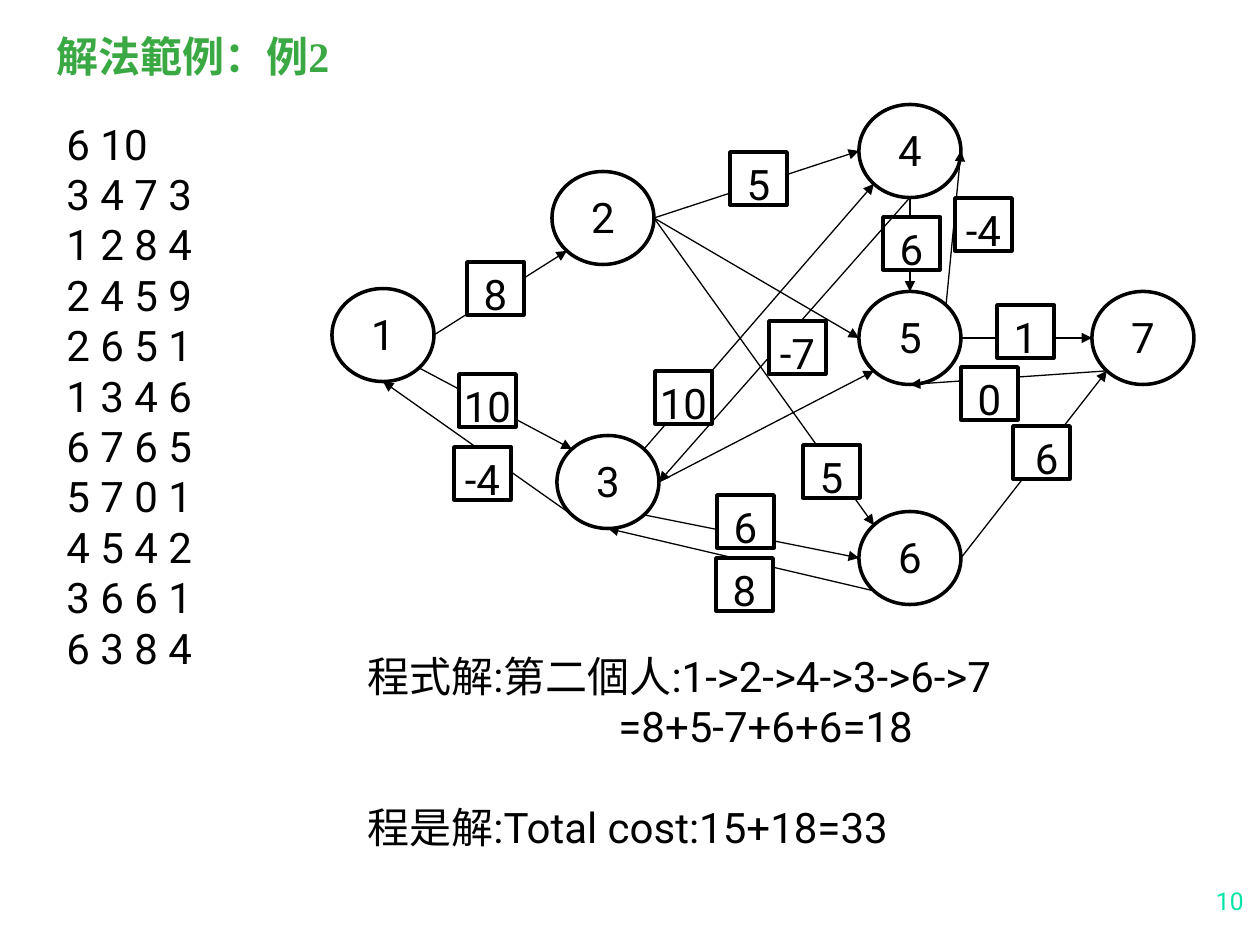
"""Build the worked-example slide with its weighted directed graph."""
import math

from lxml import etree
from pptx import Presentation
from pptx import util as u
from pptx.dml.color import RGBColor
from pptx.enum import shapes, text
from pptx.oxml import ns

PX = u.Inches(1) / 126
COLORS = {"ink": "000000", "paper": "FFFFFF", "title": "3BA943", "number": "00E4A8"}
FONT = "Roboto"
NODE_SIZE = (102, 93)
LABEL_SIZE = (57, 53)
SITES = ("r", "br", "b", "bl", "l", "tl", "t", "tr")

NODES = {
    1: (383, 335),
    5: (910, 338),
    3: (608, 482),
    4: (910, 151),
    6: (910, 558),
    2: (603, 218),
    7: (1143, 338),
}
EDGES = [
    (1, "r", 2, "bl", "8", (467, 262)),
    (2, "r", 5, "l", None, None),
    (1, "br", 3, "tl", "10", (459, 374)),
    (3, "r", 5, "bl", None, None),
    (3, "tr", 4, "bl", "10", (655, 371)),
    (2, "r", 4, "l", "5", (730, 152)),
    (2, "r", 6, "tl", "5", (803, 445)),
    (6, "r", 7, "bl", " 6", (1013, 426)),
    (5, "r", 7, "l", "1", (997, 305)),
    (4, "b", 5, "t", "6", (883, 217)),
    (3, "br", 6, "l", "6", (717, 495)),
    (6, "bl", 3, "b", "8", (716, 558)),
    (3, "bl", 1, "b", "-4", (454, 447)),
    (4, "b", 3, "r", "-7", (769, 321)),
    (5, "tr", 4, "r", "-4", (955, 198)),
    (7, "bl", 5, "b", "0", (961, 367)),
]
INPUT_LINES = [
    "6 10", "3 4 7 3", "1 2 8 4", "2 4 5 9", "2 6 5 1", "1 3 4 6",
    "6 7 6 5", "5 7 0 1", "4 5 4 2", "3 6 6 1", "6 3 8 4",
]
ANSWER_LINES = [
    "程式解:第二個人:1->2->4->3->6->7",
    "=8+5-7+6+6=18",
    "程是解:Total cost:15+18=33",
]


def px(*lengths):
    return [u.Emu(round(length * PX)) for length in lengths]


def rgb(name):
    return RGBColor.from_string(COLORS[name])


def style(paragraph, size=24, color="ink", name=FONT, bold=False):
    font = paragraph.font
    font.size, font.name, font.bold = u.Pt(size), name, bold
    font.color.rgb = rgb(color)


def add_text(slide, box, lines, **look):
    frame = slide.shapes.add_textbox(*px(*box)).text_frame
    frame.word_wrap = True
    frame.text = "\n".join(lines)
    for paragraph in frame.paragraphs:
        style(paragraph, **look)
    return frame


def add_box(slide, kind, left, top, size, caption):
    shape = slide.shapes.add_shape(kind, *px(left, top, *size))
    shape.shadow.inherit = False
    shape.fill.solid()
    shape.fill.fore_color.rgb = rgb("paper")
    shape.line.color.rgb = rgb("ink")
    shape.line.width = u.Pt(2)
    frame = shape.text_frame
    frame.word_wrap = False
    frame.vertical_anchor = text.MSO_ANCHOR.TOP
    frame.text = caption
    paragraph = frame.paragraphs[0]
    paragraph.alignment = text.PP_ALIGN.CENTER
    style(paragraph)


def add_node(slide, number, center):
    left, top = (c - s / 2 for c, s in zip(center, NODE_SIZE))
    add_box(slide, shapes.MSO_SHAPE.OVAL, left, top, NODE_SIZE, str(number))


def site_point(number, site):
    x, y = NODES[number]
    angle = SITES.index(site) * math.pi / 4
    width, height = NODE_SIZE
    return x + width / 2 * math.cos(angle), y + height / 2 * math.sin(angle)


def add_arrow(slide, start, end):
    arrow = slide.shapes.add_connector(shapes.MSO_CONNECTOR.STRAIGHT, *px(*start, *end))
    arrow.line.color.rgb = rgb("ink")
    arrow.line.width = u.Pt(0.75)
    etree.SubElement(arrow.line._get_or_add_ln(), ns.qn("a:tailEnd"), type="triangle")
    etree.SubElement(arrow._element.spPr, ns.qn("a:effectLst"))


def add_edge(slide, source, source_site, target, target_site, weight, corner):
    add_arrow(slide, site_point(source, source_site), site_point(target, target_site))
    if weight:
        add_box(slide, shapes.MSO_SHAPE.RECTANGLE, *corner, LABEL_SIZE, weight)


def add_answer(slide):
    frame = add_text(slide, (355, 644, 862, 214), ANSWER_LINES)
    _, total, cost = frame.paragraphs
    total._p.get_or_add_pPr().set("marL", str(px(251)[0]))
    cost.space_before = u.Pt(28.8)


def main():
    presentation = Presentation()
    presentation.slide_width, presentation.slide_height = px(1260, 945)
    slide = presentation.slides.add_slide(presentation.slide_layouts[6])

    number = add_text(slide, (1136, 859, 120, 63), ["10"], size=14, color="number")
    number.vertical_anchor = text.MSO_ANCHOR.BOTTOM
    number.paragraphs[0].alignment = text.PP_ALIGN.RIGHT

    for node, center in NODES.items():
        add_node(slide, node, center)
    for edge in EDGES:
        add_edge(slide, *edge)

    add_text(slide, (54, 112, 258, 567), INPUT_LINES)
    add_answer(slide)
    title = add_text(slide, (44, 30, 311, 59), ["解法範例：例2"],
                     color="title", name="Times New Roman", bold=True)
    title.paragraphs[0].line_spacing = 0.9
    presentation.save("out.pptx")


if __name__ == "__main__":
    main()
